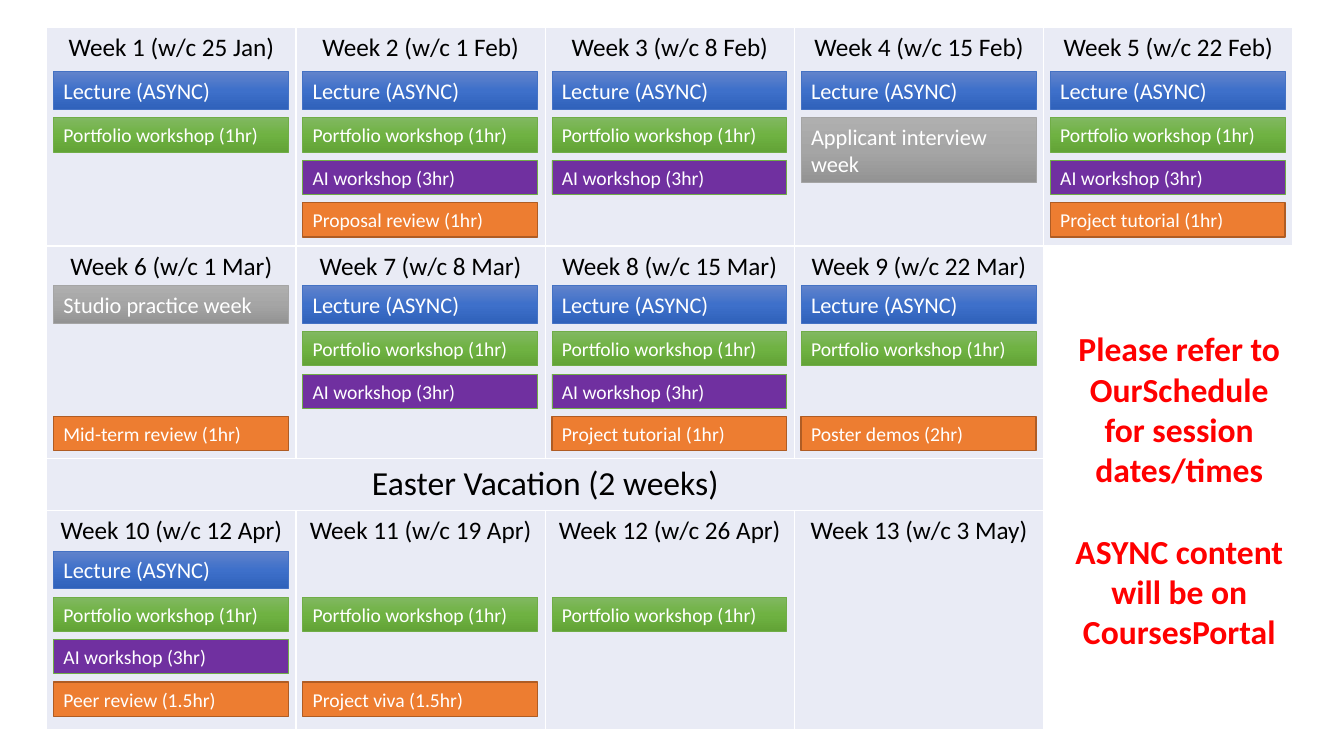
from copy import deepcopy
from dataclasses import dataclass, replace

from lxml.etree import SubElement
from pptx import Presentation
from pptx.dml.color import RGBColor
from pptx.enum.shapes import MSO_SHAPE as Preset
from pptx.enum.text import MSO_ANCHOR as Anchor, PP_ALIGN as Align
from pptx.oxml.ns import qn
from pptx.util import Cm, Pt

BLACK = RGBColor(0x00, 0x00, 0x00)
WHITE = RGBColor(0xFF, 0xFF, 0xFF)
RED = RGBColor(0xFF, 0x00, 0x00)
CELL_TINT = RGBColor(0xE9, 0xEB, 0xF5)
PURPLE = RGBColor(0x70, 0x30, 0xA0)
ORANGE = RGBColor(0xED, 0x7D, 0x31)
RUST = RGBColor(0xAF, 0x5C, 0x24)
BLUE = RGBColor(0x44, 0x72, 0xC4)
GREEN = RGBColor(0x70, 0xAD, 0x47)
GREY = RGBColor(0xA5, 0xA5, 0xA5)
BLUE_FADE = (RGBColor(0x61, 0x83, 0xCB), RGBColor(0x3E, 0x70, 0xCA), RGBColor(0x30, 0x62, 0xBB))
GREEN_FADE = (RGBColor(0x81, 0xB8, 0x61), RGBColor(0x6F, 0xB2, 0x42), RGBColor(0x62, 0xA3, 0x36))
GREY_FADE = (RGBColor(0xAF, 0xAF, 0xAF), GREY, RGBColor(0x93, 0x93, 0x93))


@dataclass(frozen=True)
class Session:
    text: str
    fill: tuple
    line: RGBColor
    slot: int
    size: int = 14
    height: float = 0.86
    line_width: float = 0.5


LECTURE = Session("Lecture (ASYNC)", BLUE_FADE, BLUE, 0, size=16, height=0.94)
PORTFOLIO = Session("Portfolio workshop (1hr)", GREEN_FADE, GREEN, 1)
AI = Session("AI workshop (3hr)", (PURPLE,), GREEN, 2)
PROPOSAL = Session("Proposal review (1hr)", (ORANGE,), RUST, 3, line_width=1)
TUTORIAL = replace(PROPOSAL, text="Project tutorial (1hr)")
MID_TERM = replace(PROPOSAL, text="Mid-term review (1hr)")
POSTER = replace(PROPOSAL, text="Poster demos (2hr)")
PEER = replace(PROPOSAL, text="Peer review (1.5hr)")
VIVA = replace(PROPOSAL, text="Project viva (1.5hr)")
STUDIO = Session("Studio practice week", GREY_FADE, GREY, 0, size=16, height=0.94)
INTERVIEW = replace(STUDIO, text="Applicant interview week", slot=1, height=1.63)

COLUMN_WIDTH = 6.28
ROW_HEIGHTS = (5.51, 5.36, 1.3, 5.53)
BAR_INSET = 0.17
BAR_WIDTH = 5.92
SLOT_TOPS = (0, 1.16, 2.23, 3.3)
VACATION_ROW = 2
VACATION_SPAN = 4

# fmt: off
TERM = {
    0: (1.12, [
        ("Week 1 (w/c 25 Jan)", (LECTURE, PORTFOLIO)),
        ("Week 2 (w/c 1 Feb)", (LECTURE, PORTFOLIO, AI, PROPOSAL)),
        ("Week 3 (w/c 8 Feb)", (LECTURE, PORTFOLIO, AI)),
        ("Week 4 (w/c 15 Feb)", (LECTURE, INTERVIEW)),
        ("Week 5 (w/c 22 Feb)", (LECTURE, PORTFOLIO, AI, TUTORIAL)),
    ]),
    1: (1.0, [
        ("Week 6 (w/c 1 Mar)", (STUDIO, MID_TERM)),
        ("Week 7 (w/c 8 Mar)", (LECTURE, PORTFOLIO, AI)),
        ("Week 8 (w/c 15 Mar)", (LECTURE, PORTFOLIO, AI, TUTORIAL)),
        ("Week 9 (w/c 22 Mar)", (LECTURE, PORTFOLIO, POSTER)),
    ]),
    3: (1.03, [
        ("Week 10 (w/c 12 Apr)", (LECTURE, PORTFOLIO, AI, PEER)),
        ("Week 11 (w/c 19 Apr)", (PORTFOLIO, VIVA)),
        ("Week 12 (w/c 26 Apr)", (PORTFOLIO,)),
        ("Week 13 (w/c 3 May)", ()),
    ]),
}
# fmt: on


def write_text(paragraph, text, size=18, color=BLACK, bold=False, align=Align.CENTER, before=0):
    paragraph.alignment = align
    if before:
        paragraph.space_before = Pt(before)
    run = paragraph.add_run()
    run.text = text
    run.font.name = "Calibri"
    run.font.size = Pt(size)
    run.font.bold = bold
    run.font.color.rgb = color


def style_cell(cell, color):
    properties = cell._tc.get_or_add_tcPr()
    for side in ("lnL", "lnR", "lnT", "lnB"):
        border = SubElement(properties, qn(f"a:{side}"), w=str(Pt(1)))
        SubElement(SubElement(border, qn("a:solidFill")), qn("a:srgbClr"), val=str(WHITE))
    cell.fill.solid()
    cell.fill.fore_color.rgb = color


def fill_shape(shape, colors):
    if len(colors) == 1:
        shape.fill.solid()
        shape.fill.fore_color.rgb = colors[0]
        return
    shape.fill.gradient()
    shape.fill.gradient_angle = 270
    stops = next(shape._element.spPr.iter(qn("a:gsLst")))
    stops.insert(1, deepcopy(stops[0]))
    for index, (stop, color) in enumerate(zip(shape.fill.gradient_stops, colors)):
        stop.position = index / 2
        stop.color.rgb = color


def add_session(slide, session, left, top):
    shape = slide.shapes.add_shape(
        Preset.RECTANGLE, Cm(left), Cm(top), Cm(BAR_WIDTH), Cm(session.height)
    )
    shape.shadow.inherit = False
    fill_shape(shape, session.fill)
    shape.line.color.rgb = session.line
    shape.line.width = Pt(session.line_width)
    frame = shape.text_frame
    frame.word_wrap = True
    frame.vertical_anchor = Anchor.MIDDLE
    write_text(frame.paragraphs[0], session.text, session.size, WHITE, align=Align.LEFT)


def add_calendar(slide, left, top):
    columns = len(TERM[0][1])
    table = slide.shapes.add_table(
        len(ROW_HEIGHTS), columns, Cm(left), Cm(top),
        Cm(COLUMN_WIDTH * columns), Cm(sum(ROW_HEIGHTS)),
    ).table
    table.first_row = False
    table.horz_banding = False
    for column in table.columns:
        column.width = Cm(COLUMN_WIDTH)
    for index, height in enumerate(ROW_HEIGHTS):
        table.rows[index].height = Cm(height)
        for column in range(columns):
            is_notice = index > 0 and column == columns - 1
            style_cell(table.cell(index, column), WHITE if is_notice else CELL_TINT)

    vacation = table.cell(VACATION_ROW, 0)
    vacation.merge(table.cell(VACATION_ROW, VACATION_SPAN - 1))
    vacation.vertical_anchor = Anchor.MIDDLE
    write_text(vacation.text_frame.paragraphs[0], "Easter Vacation (2 weeks)", 24)

    for row, (bar_offset, weeks) in TERM.items():
        bars_top = top + sum(ROW_HEIGHTS[:row]) + bar_offset
        for column, (title, sessions) in enumerate(weeks):
            write_text(table.cell(row, column).text_frame.paragraphs[0], title)
            bar_left = left + column * COLUMN_WIDTH + BAR_INSET
            for session in sessions:
                add_session(slide, session, bar_left, bars_top + SLOT_TOPS[session.slot])


def add_notice(slide, left, top, width, height):
    frame = slide.shapes.add_textbox(Cm(left), Cm(top), Cm(width), Cm(height)).text_frame
    frame.word_wrap = True
    write_text(
        frame.paragraphs[0], "Please refer to OurSchedule for session dates/times", 24, RED, bold=True
    )
    write_text(
        frame.add_paragraph(), "ASYNC content will be on CoursesPortal", 24, RED, bold=True, before=29.3
    )


def main():
    presentation = Presentation()
    presentation.slide_width = Cm(33.87)
    presentation.slide_height = Cm(19.05)
    slide = presentation.slides.add_slide(presentation.slide_layouts[6])
    add_calendar(slide, left=1.18, top=0.69)
    add_notice(slide, left=26.72, top=8.15, width=6, height=8.46)
    presentation.save("out.pptx")


if __name__ == "__main__":
    main()
